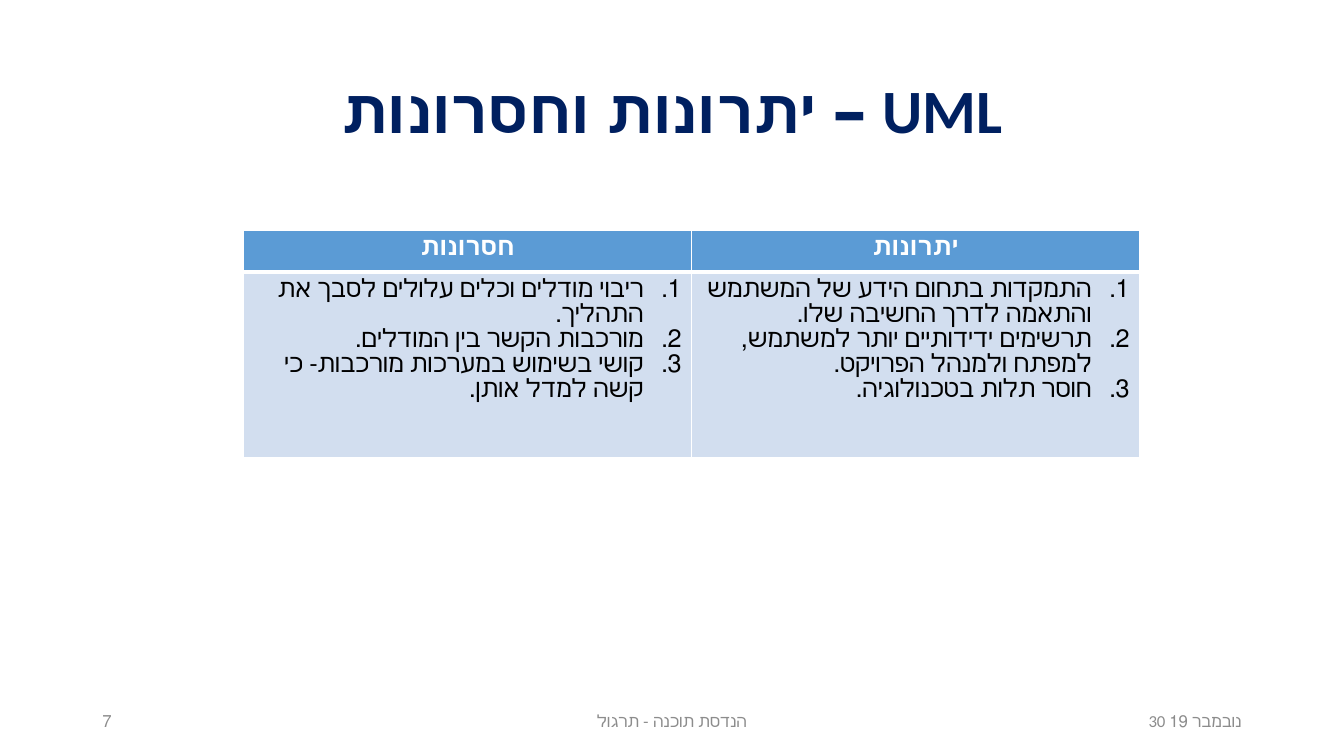
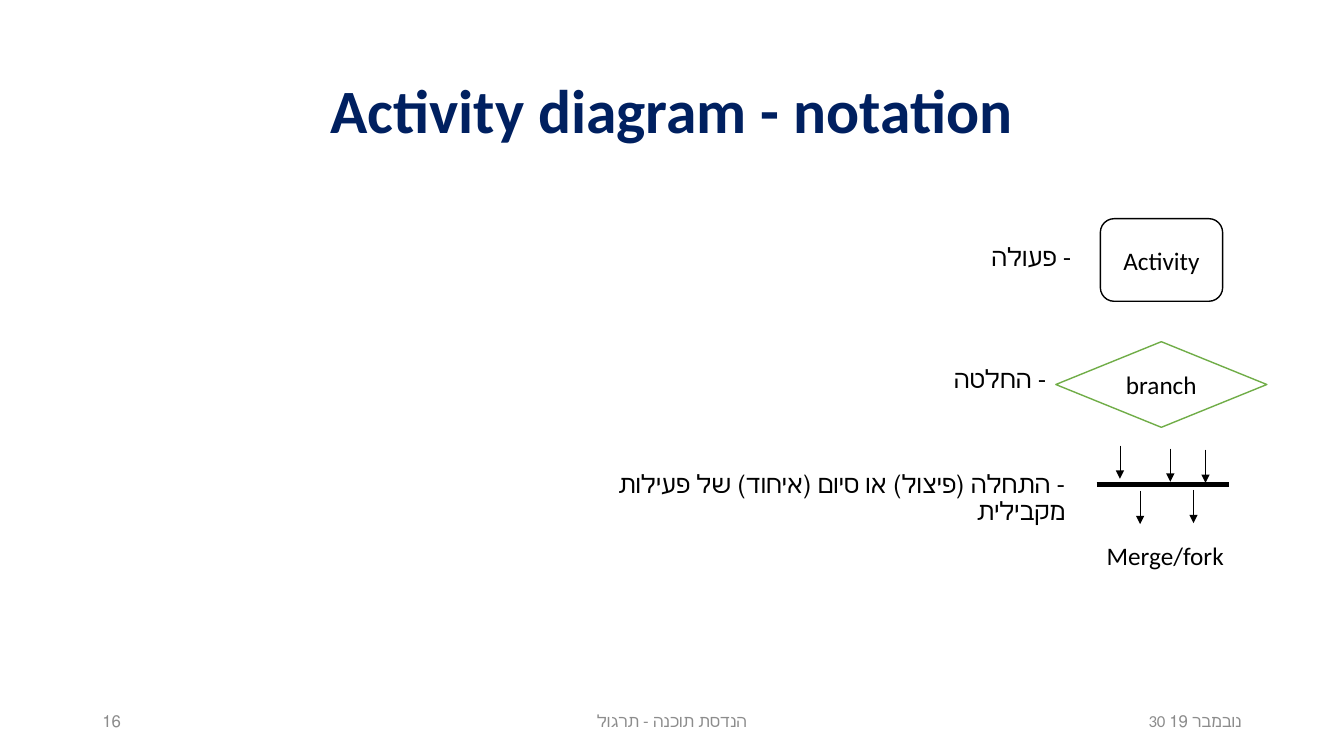
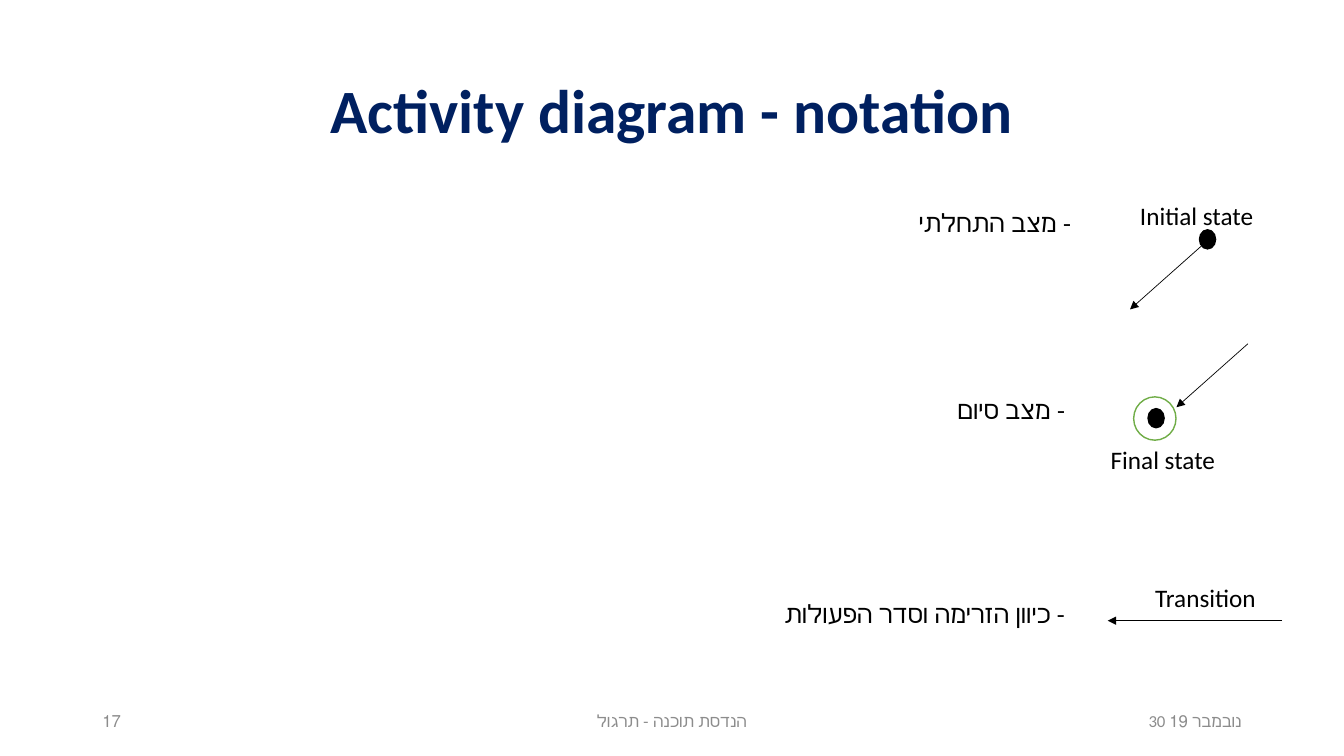
"""Builds three slides on UML trade-offs and activity diagram notation."""
from dataclasses import dataclass
from typing import Any, Optional

import lxml.etree
import pptx
import pptx.dml.color
import pptx.enum.shapes
import pptx.enum.text
import pptx.oxml.ns
import pptx.util

SHAPE = pptx.enum.shapes.MSO_SHAPE
ALIGN = pptx.enum.text.PP_ALIGN
ANCHOR = pptx.enum.text.MSO_ANCHOR
qn = pptx.oxml.ns.qn

WIDTH, HEIGHT = 13.33, 7.5
FONT = "Calibri"
BLACK, WHITE, NAVY, GREY = "000000", "FFFFFF", "002060", "8C8C8C"
GREEN, HEADER, BODY = "70AD47", "5B9BD5", "D2DEEF"
ARROW_W, ARROW_H, DROP = -5.32, 8.4, 4.4
ROW_H, LABEL_H = 5.33, 8.93


@dataclass(frozen=True)
class Box:
    """Place and size in percent of the slide's width and height."""
    x: float
    y: float
    w: float
    h: float


@dataclass(frozen=True)
class Style:
    """Look of a paragraph."""
    size: float = 18
    color: str = BLACK
    bold: bool = False
    align: Any = ALIGN.LEFT
    rtl: bool = False
    spacing: float = 1.0
    numbered: bool = False


@dataclass(frozen=True)
class Text:
    """A text box."""
    box: Box
    text: str
    style: Style = Style()
    anchor: Any = ANCHOR.TOP


@dataclass(frozen=True)
class Node:
    """A filled preset shape with an optional centred caption."""
    kind: Any
    box: Box
    fill: str = WHITE
    line: str = BLACK
    text: Optional[str] = None


@dataclass(frozen=True)
class Line:
    """A straight line from a start point by an offset."""
    x: float
    y: float
    dx: float
    dy: float
    weight: float = 0.5
    arrow: bool = True


TITLE = Style(44, NAVY, True, ALIGN.CENTER, True, 0.9)
LABEL = Style(align=ALIGN.RIGHT, rtl=True, spacing=0.9)
CAPTION = Style(align=ALIGN.CENTER)
HEAD_CELL = Style(color=WHITE, bold=True, align=ALIGN.CENTER, rtl=True)
LIST_CELL = Style(align=ALIGN.RIGHT, rtl=True, numbered=True)


def px(share: float) -> int:
    """Turns a share of the slide's width into a length."""
    return pptx.util.Inches(WIDTH * share / 100)


def py(share: float) -> int:
    """Turns a share of the slide's height into a length."""
    return pptx.util.Inches(HEIGHT * share / 100)


def place(box: Box) -> tuple:
    """Returns left, top, width and height of a box."""
    return px(box.x), py(box.y), px(box.w), py(box.h)


def rgb(color: str) -> pptx.dml.color.RGBColor:
    """Turns a hex string into a colour."""
    return pptx.dml.color.RGBColor.from_string(color)


def write(tf: Any, lines: list[str], style: Style) -> None:
    """Fills a text frame with one paragraph per line."""
    for i, line in enumerate(lines):
        p = tf.paragraphs[0] if i == 0 else tf.add_paragraph()
        p.alignment, p.line_spacing = style.align, style.spacing
        pPr = p._p.get_or_add_pPr()
        pPr.set("rtl", str(int(style.rtl)))
        if style.numbered:
            for key, value in {"marL": 342900, "indent": -342900}.items():
                pPr.set(key, str(value))
            lxml.etree.SubElement(pPr, qn("a:buFont"), typeface="+mj-lt")
            lxml.etree.SubElement(pPr, qn("a:buAutoNum"), type="arabicPeriod")
        r = p.add_run()
        r.text = line
        formats = {"name": FONT, "size": pptx.util.Pt(style.size), "bold": style.bold}
        for key, value in formats.items():
            setattr(r.font, key, value)
        r.font.color.rgb = rgb(style.color)


def draw_text(s: Any, item: Text) -> None:
    """Draws a text box."""
    tf = s.shapes.add_textbox(*place(item.box)).text_frame
    tf.word_wrap, tf.vertical_anchor = True, item.anchor
    write(tf, [item.text], item.style)


def draw_node(s: Any, item: Node) -> None:
    """Draws a preset shape."""
    sp = s.shapes.add_shape(item.kind, *place(item.box))
    sp.shadow.inherit = False
    sp.fill.solid()
    sp.fill.fore_color.rgb = rgb(item.fill)
    sp.line.color.rgb = rgb(item.line)
    sp.line.width = pptx.util.Pt(1)
    if item.text:
        sp.text_frame.vertical_anchor = ANCHOR.MIDDLE
        write(sp.text_frame, [item.text], CAPTION)


def draw_line(s: Any, item: Line) -> None:
    """Draws a line, with an arrowhead at its end if asked."""
    sp = s.shapes.add_connector(
        pptx.enum.shapes.MSO_CONNECTOR.STRAIGHT, px(item.x), py(item.y),
        px(item.x + item.dx), py(item.y + item.dy))
    sp.line.color.rgb = rgb(BLACK)
    sp.line.width = pptx.util.Pt(item.weight)
    if item.arrow:
        lxml.etree.SubElement(sp.line._get_or_add_ln(), qn("a:tailEnd"), type="triangle")
    lxml.etree.SubElement(sp._element.spPr, qn("a:effectLst"))


def draw_borders(cell: Any, widths: dict[str, float]) -> None:
    """Gives a cell white borders of the given widths in points."""
    tcPr = cell._tc.get_or_add_tcPr()
    for i, (side, width) in enumerate(widths.items()):
        ln = lxml.etree.Element(qn(f"a:ln{side}"), w=str(pptx.util.Pt(width)))
        fill = lxml.etree.SubElement(ln, qn("a:solidFill"))
        lxml.etree.SubElement(fill, qn("a:srgbClr"), val=WHITE)
        tcPr.insert(i, ln)


def draw_table(s: Any, box: Box, columns: dict[str, list[str]], head_h: float) -> None:
    """Draws a table with a heading and a numbered list in each column."""
    table = s.shapes.add_table(2, len(columns), *place(box)).table
    table.horz_banding = False
    table.rows[0].height, table.rows[1].height = py(head_h), py(box.h - head_h)
    for col, (head, points) in enumerate(columns.items()):
        rows = [([head], HEAD_CELL, HEADER, 1, 3), (points, LIST_CELL, BODY, 3, 1)]
        for row, (lines, style, fill, top, bottom) in enumerate(rows):
            cell = table.cell(row, col)
            cell.fill.solid()
            cell.fill.fore_color.rgb = rgb(fill)
            draw_borders(cell, {"L": 1, "R": 1, "T": top, "B": bottom})
            write(cell.text_frame, lines, style)


def new_slide(prs: Any, title: str, number: int, items: list) -> Any:
    """Adds a slide with title, footers and its items."""
    s = prs.slides.add_slide(prs.slide_layouts[6])
    draw_text(s, Text(Box(6.88, 5.33, 86.25, 19.33), title, TITLE, ANCHOR.MIDDLE))
    footers = [
        (70.62, 22.5, "30 נובמבר 19", ALIGN.RIGHT, False),
        (33.12, 33.75, "הנדסת תוכנה - תרגול", ALIGN.CENTER, True),
        (6.88, 22.5, str(number), ALIGN.LEFT, True),
    ]
    for x, w, text, align, rtl in footers:
        style = Style(12, GREY, align=align, rtl=rtl)
        draw_text(s, Text(Box(x, 92.67, w, ROW_H), text, style, ANCHOR.MIDDLE))
    draw = {Text: draw_text, Node: draw_node, Line: draw_line}
    for item in items:
        draw[type(item)](s, item)
    return s


def label(x: float, y: float, w: float, text: str) -> Text:
    """Describes an explanation beside a symbol."""
    return Text(Box(x, y, w, LABEL_H), text, LABEL)


def dot(x: float, y: float) -> Node:
    """Describes a black state dot."""
    return Node(SHAPE.OVAL, Box(x, y, 1.2, 2.53), BLACK)


def main() -> None:
    """Builds and saves the slides."""
    prs = pptx.Presentation()
    prs.slide_width, prs.slide_height = px(100), py(100)

    s = new_slide(prs, "UML – יתרונות וחסרונות", 7, [])
    draw_table(s, Box(18.12, 30.5, 66.68, 30), {
        "חסרונות": [
            "ריבוי מודלים וכלים עלולים לסבך את התהליך.",
            "מורכבות הקשר בין המודלים.",
            "קושי בשימוש במערכות מורכבות- כי קשה למדל אותן.",
        ],
        "יתרונות": [
            "התמקדות בתחום הידע של המשתמש והתאמה לדרך החשיבה שלו.",
            "תרשימים ידידותיים יותר למשתמש, למפתח ולמנהל הפרויקט.",
            "חוסר תלות בטכנולוגיה.",
        ],
    }, 5.47)

    notation = "Activity diagram - notation"
    drops = [(83.33, 58.93), (84.83, 64.93), (89.7, 59.47), (87.08, 59.33), (88.8, 64.8)]
    new_slide(prs, notation, 16, [
        Node(SHAPE.ROUNDED_RECTANGLE, Box(81.87, 28.93, 9.1, 10.93), text="Activity"),
        Node(SHAPE.FLOWCHART_DECISION, Box(78.56, 45.2, 15.7, 11.33), line=GREEN, text="branch"),
        Line(81.6, 64.1, 9.82, 0, 3, False),
        *[Line(x, y, 0, DROP) for x, y in drops],
        Text(Box(81.6, 70.8, 11.25, ROW_H), "Merge/fork"),
        label(66.87, 31.73, 13.58, "- פעולה"),
        label(65, 47.87, 13.58, "- החלטה"),
        label(38.75, 61.73, 41.25, "- התחלה (פיצול) או סיום (איחוד) של פעילות מקבילית"),
    ])

    new_slide(prs, notation, 17, [
        dot(89.25, 30.4),
        Line(89.4, 32.53, ARROW_W, ARROW_H),
        Text(Box(84.08, 25.8, 11.55, ROW_H), "Initial state"),
        Line(95.4, 82.1, -12.98, 0),
        Text(Box(85.22, 76.35, 10.12, ROW_H), "Transition"),
        Node(SHAPE.OVAL, Box(84.35, 52.5, 3.15, 5.73), line=GREEN),
        dot(85.42, 54.05),
        Line(92.85, 45.47, ARROW_W, ARROW_H),
        Text(Box(81.9, 58.13, 11.55, ROW_H), "Final state"),
        label(66.87, 27.2, 13.58, "- מצב התחלתי"),
        label(56.38, 78.93, 23.62, "- כיוון הזרימה וסדר הפעולות"),
        label(66.42, 51.95, 13.58, "- מצב סיום"),
    ])
    prs.save("out.pptx")


if __name__ == "__main__":
    main()
